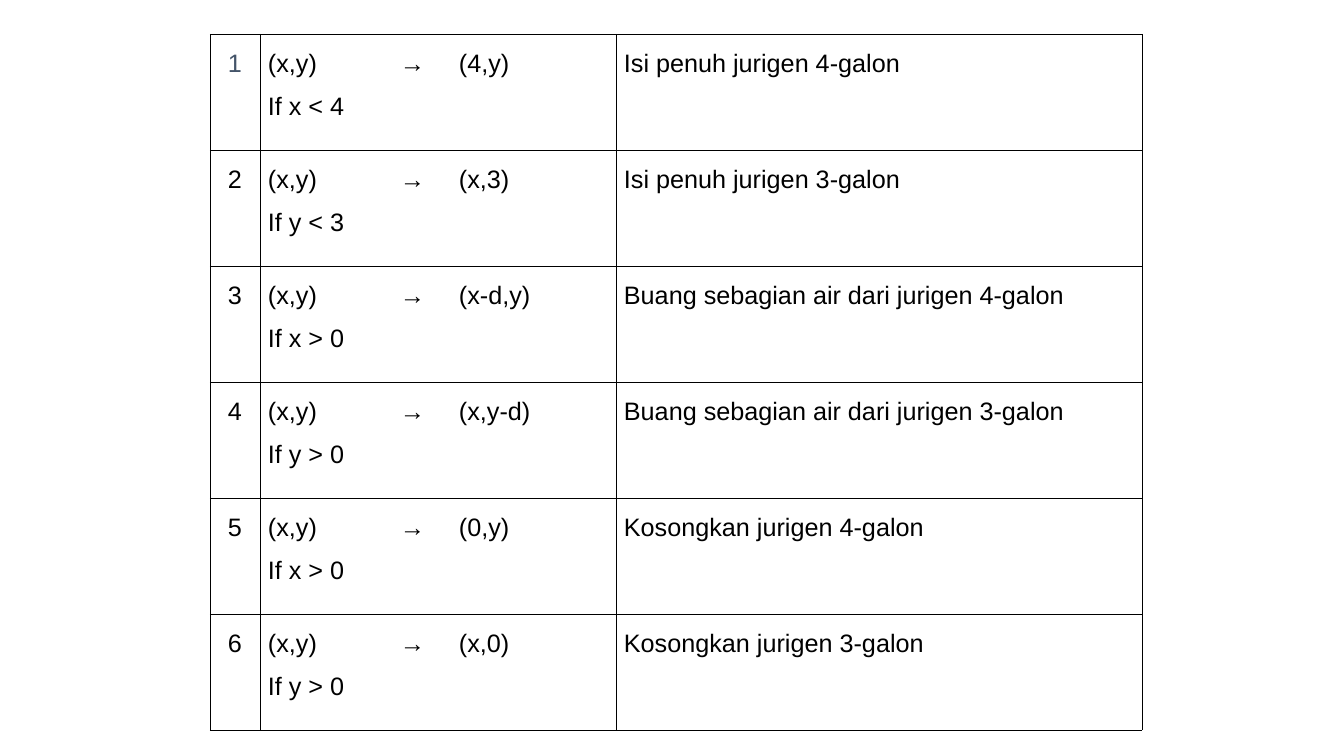
from lxml.etree import SubElement
from pptx import Presentation
from pptx.dml.color import RGBColor
from pptx.enum.text import PP_ALIGN
from pptx.oxml.ns import qn
from pptx.util import Pt

SCALE = 914400 / 50.4
COLORS = {"text": "000000", "first": "445469", "line": "000000"}


def px(n):
    return round(n * SCALE)


class Deck:
    font = "Arial"
    size = Pt(36)
    line_width = Pt(0.45)

    def __init__(self, width, height):
        self.prs = Presentation()
        self.prs.slide_width, self.prs.slide_height = px(width), px(height)
        self.s = self.prs.slides.add_slide(self.prs.slide_layouts[6])

    def text(self, cell, lines, align, color):
        tf = cell.text_frame
        for i, line in enumerate(lines):
            p = tf.add_paragraph() if i else tf.paragraphs[0]
            p.alignment = align
            p.line_spacing = 1.5
            r = p.add_run()
            r.text = line
            r.font.name, r.font.size = self.font, self.size
            r.font.color.rgb = RGBColor.from_string(COLORS[color])

    def borders(self, cell, sides):
        tcPr = cell._tc.get_or_add_tcPr()
        for i, side in enumerate("LRTB"):
            ln = SubElement(tcPr, qn(f"a:ln{side}"), w=str(self.line_width))
            if side in sides:
                fill = SubElement(ln, qn("a:solidFill"))
                SubElement(fill, qn("a:srgbClr"), val=COLORS["line"])
            else:
                SubElement(ln, qn("a:noFill"))
            tcPr.insert(i, ln)

    def table(self, left, top, widths, row_height, rows, sides):
        height = row_height * len(rows)
        table = self.s.shapes.add_table(len(rows), len(widths), px(left), px(top),
                                        px(sum(widths)), px(height)).table
        table.first_row = table.horz_banding = False
        for col, width in zip(table.columns, widths):
            col.width = px(width)
        for i, row in enumerate(rows):
            table.rows[i].height = px(row_height)
            for j, lines in enumerate(row):
                cell = table.cell(i, j)
                cell.margin_left = cell.margin_right = px(8)
                cell.margin_top = cell.margin_bottom = px(2)
                cell.fill.background()
                align = PP_ALIGN.JUSTIFY if j else PP_ALIGN.CENTER
                self.text(cell, lines, align, "text" if i or j else "first")
                self.borders(cell, sides[j])


RULES = [
    ("If x < 4", "(4,y)", "Isi penuh jurigen 4-galon"),
    ("If y < 3", "(x,3)", "Isi penuh jurigen 3-galon"),
    ("If x > 0", "(x-d,y)", "Buang sebagian air dari jurigen 4-galon"),
    ("If y > 0", "(x,y-d)", "Buang sebagian air dari jurigen 3-galon"),
    ("If x > 0", "(0,y)", "Kosongkan jurigen 4-galon"),
    ("If y > 0", "(x,0)", "Kosongkan jurigen 3-galon"),
]
rows = [
    ([str(n)], ["(x,y)", condition], ["→"], [state], [action])
    for n, (condition, state, action) in enumerate(RULES, 1)
]

deck = Deck(1344, 756)
deck.table(210, 34, [50, 132, 59, 165, 526], 116, rows, ["LRTB", "LTB", "TB", "RTB", "LRTB"])
deck.prs.save("out.pptx")
